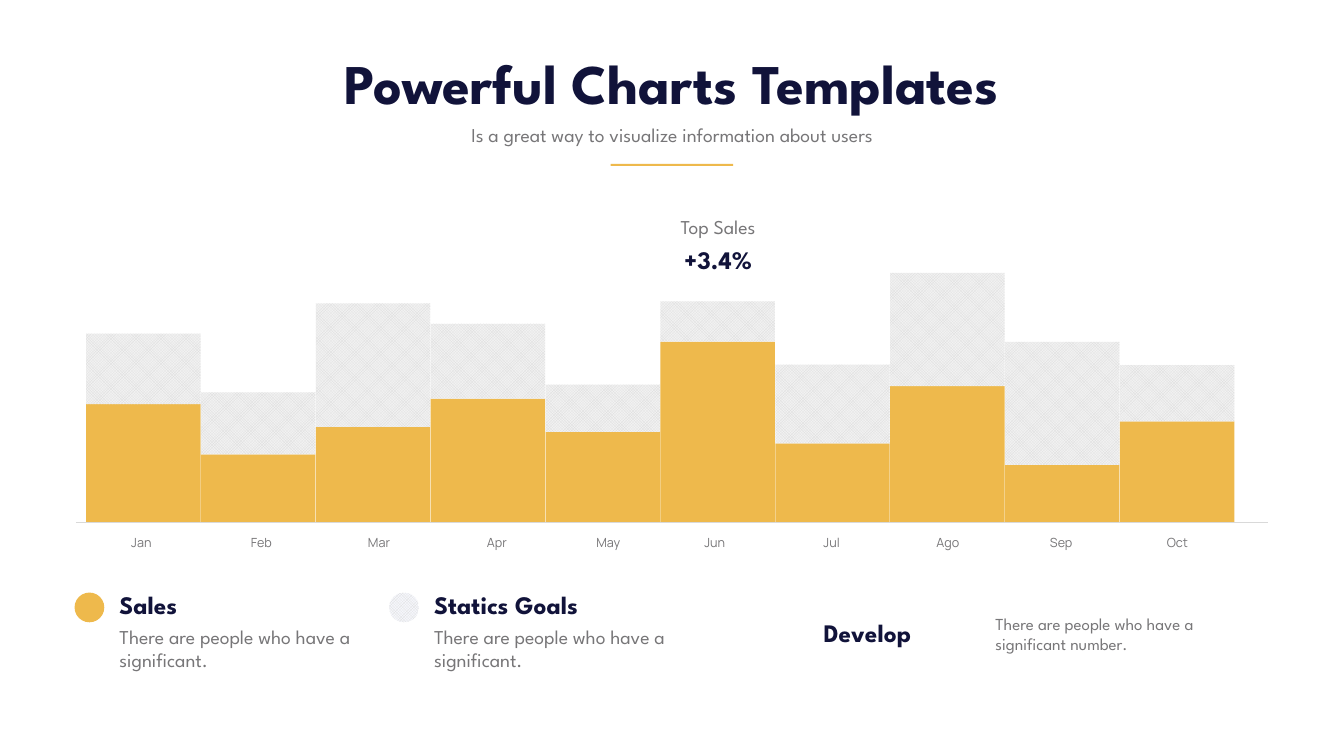
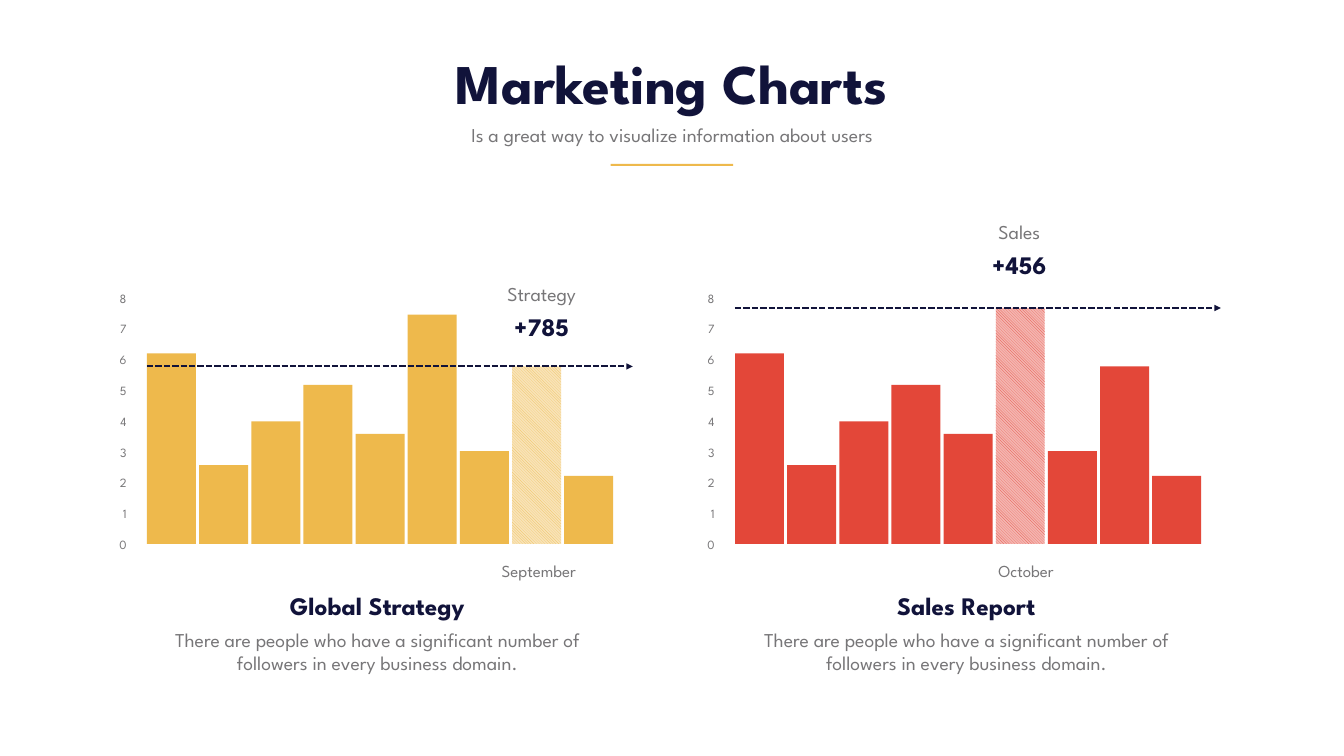
from lxml.etree import SubElement
from pptx import Presentation
from pptx.dml.color import RGBColor
from pptx.enum.dml import MSO_LINE, MSO_PATTERN
from pptx.enum.shapes import MSO_CONNECTOR, MSO_SHAPE
from pptx.enum.text import MSO_ANCHOR, MSO_AUTO_SIZE, PP_ALIGN
from pptx.oxml.ns import qn
from pptx.util import Pt

COLORS = {
    "navy": "11133A",
    "grey": "777678",
    "yellow": "EEB94C",
    "pale yellow": "F8E3B7",
    "red": "E34739",
    "pale red": "F4B5B0",
    "line": "D9D9D9",
    "goal": "F2F2F2",
    "goal key": "F6F7FC",
}
SLIDE_WIDTH, SLIDE_HEIGHT = 1920, 1080
TITLE_ONLY = 5
LEFT, CENTER, RIGHT = PP_ALIGN.LEFT, PP_ALIGN.CENTER, PP_ALIGN.RIGHT
CHECKS = MSO_PATTERN.LARGE_CHECKER_BOARD
STRIPES = MSO_PATTERN.WIDE_DOWNWARD_DIAGONAL

# Month, left of its label, sales height, goal height
MONTHS = [
    ("Jan", 115, 168.5, 101), ("Feb", 286.5, 97, 88.5),
    ("Mar", 454.5, 136, 176.5), ("Apr", 623, 176.5, 107),
    ("May", 782, 129, 67.5), ("Jun", 934, 258, 57.5),
    ("Jul", 1101, 112.5, 112.5), ("Ago", 1267, 194.5, 161.5),
    ("Sep", 1429, 82, 175.5), ("Oct", 1595, 144, 80.5),
]


def rgb(color):
    return RGBColor.from_string(COLORS[color])


class Deck:
    font = "League Spartan"

    def __init__(self):
        self.presentation = Presentation()
        self.presentation.slide_width = Pt(SLIDE_WIDTH)
        self.presentation.slide_height = Pt(SLIDE_HEIGHT)
        self.slide = None

    def add_slide(self, title, title_width):
        """Start a slide with its title, subtitle and short rule."""
        layout = self.presentation.slide_layouts[TITLE_ONLY]
        self.slide = self.presentation.slides.add_slide(layout)
        placeholder = self.slide.shapes.title
        placeholder.left, placeholder.top = Pt((SLIDE_WIDTH - title_width) / 2), Pt(65)
        placeholder.width, placeholder.height = Pt(title_width), Pt(104)
        self.fill_text(placeholder, title, 80, "navy", CENTER, bold=True)
        self.text("Is a great way to visualize information about users",
                  616, 171.5, 688, 41, align=CENTER)
        self.shape(872.5, 234, 175, 3, "yellow")

    def fill_text(self, shape, text, size, color, align, bold=False, spacing=None, font=None):
        frame = shape.text_frame
        frame.word_wrap = True
        frame.auto_size = MSO_AUTO_SIZE.NONE
        frame.vertical_anchor = MSO_ANCHOR.TOP
        paragraph = frame.paragraphs[0]
        paragraph.alignment = align
        if spacing:
            paragraph.line_spacing = Pt(spacing)
        run = paragraph.add_run()
        run.text = text
        run.font.name = font or self.font
        run.font.size = Pt(size)
        run.font.bold = bold
        run.font.color.rgb = rgb(color)

    def text(self, text, left, top, width, height, size=28, color="grey", align=LEFT, **style):
        box = self.slide.shapes.add_textbox(Pt(left), Pt(top), Pt(width), Pt(height))
        self.fill_text(box, text, size, color, align, **style)

    def heading(self, text, left, top, width, align=LEFT):
        self.text(text, left, top, width, 51, 36, "navy", align, bold=True)

    def shape(self, left, top, width, height, color, pattern=None, back=None,
              kind=MSO_SHAPE.RECTANGLE):
        shape = self.slide.shapes.add_shape(kind, Pt(left), Pt(top), Pt(width), Pt(height))
        shape.shadow.inherit = False
        shape.line.fill.background()
        if pattern:
            shape.fill.patterned()
            shape.fill.pattern = pattern
            shape.fill.fore_color.rgb = rgb(color)
            shape.fill.back_color.rgb = rgb(back)
        else:
            shape.fill.solid()
            shape.fill.fore_color.rgb = rgb(color)

    def level_line(self, left, right, y, color, width, arrow=False):
        """Draw a horizontal line, or a dashed arrow pointing right."""
        connector = self.slide.shapes.add_connector(
            MSO_CONNECTOR.STRAIGHT, Pt(left), Pt(y), Pt(right), Pt(y))
        connector.line.color.rgb = rgb(color)
        connector.line.width = Pt(width)
        properties = connector.element.spPr
        if arrow:
            connector.line.dash_style = MSO_LINE.SQUARE_DOT
            SubElement(properties.find(qn("a:ln")), qn("a:tailEnd"), type="triangle")
        SubElement(properties, qn("a:effectLst"))

    def callout(self, label, value, left, top):
        self.text(label, left, top, 252.5, 41, align=CENTER)
        self.heading(value, left, top + 41.5, 252.5, CENTER)

    def legend(self, title, left, color, **fill):
        self.shape(left, 846.5, 42.5, 42.5, color, kind=MSO_SHAPE.OVAL, **fill)
        self.heading(title, left + 57, 838, 344)
        self.text("There are people who have a significant.", left + 57, 889, 344, 75)

    def bar_panel(self, offset, color, heights, marked):
        """Draw a scale, its bars, and an arrow level with the marked bar."""
        left, step, baseline = offset + 210, 74.5, 777
        for index, height in enumerate(heights):
            fill = {"pattern": STRIPES, "back": f"pale {color}"} if index == marked else {}
            self.shape(left + index * step, baseline - height, 70, height, color, **fill)
        for value in range(9):
            self.text(str(value), offset + 143.5, 749.5 - 44 * value, 44.5, 38, 18,
                      align=RIGHT, spacing=35.6)
        self.level_line(left, left + 694, baseline - heights[marked], "navy", 3, arrow=True)

    def caption(self, title, left):
        self.heading(title, left, 839.5, 689, CENTER)
        self.text("There are people who have a significant number of followers "
                  "in every business domain.", left, 893, 689, 75, align=CENTER)

    def month(self, name, left, width):
        self.text(name, left, 786, width, 44, 24, align=CENTER, spacing=40.8)


def add_sales_slide(deck):
    deck.add_slide("Powerful Charts Templates", 1361)
    deck.callout("Top Sales", "+3.4%", 899.5, 304)
    baseline = 746
    for index, (month, label_left, sales, goal) in enumerate(MONTHS):
        left = 123 + 164.1 * index
        deck.shape(left, baseline - sales, 163.5, sales, "yellow")
        deck.shape(left, baseline - sales - goal, 163.5, goal, "line", CHECKS, "goal")
        deck.text(month, label_left, baseline, 174, 40, 18, align=CENTER,
                  spacing=35.6, font="Manrope")
    deck.level_line(108.5, 1811.5, baseline, "line", 1)
    deck.legend("Sales", 106.5, "yellow")
    deck.legend("Statics Goals", 556, "line", pattern=CHECKS, back="goal key")
    deck.heading("Develop", 1169.5, 878.5, 246)
    deck.text("There are people who have a significant number.", 1415, 872.5, 334, 65.5, 24)


def add_marketing_slide(deck):
    deck.add_slide("Marketing Charts", 930)
    first, last = [272, 112.5, 175, 227, 157], [132.5, 253.5, 97]
    deck.bar_panel(0, "yellow", first + [327.5] + last, marked=7)
    deck.bar_panel(840, "red", first + [337] + last, marked=5)
    deck.month("September", 672.5, 194.5)
    deck.month("October", 1378, 175.5)
    deck.callout("Strategy", "+785", 647.5, 399.5)
    deck.callout("Sales", "+456", 1330, 311)
    deck.caption("Global Strategy", 194.5)
    deck.caption("Sales Report", 1036)


def main():
    deck = Deck()
    add_sales_slide(deck)
    add_marketing_slide(deck)
    deck.presentation.save("out.pptx")


if __name__ == "__main__":
    main()
